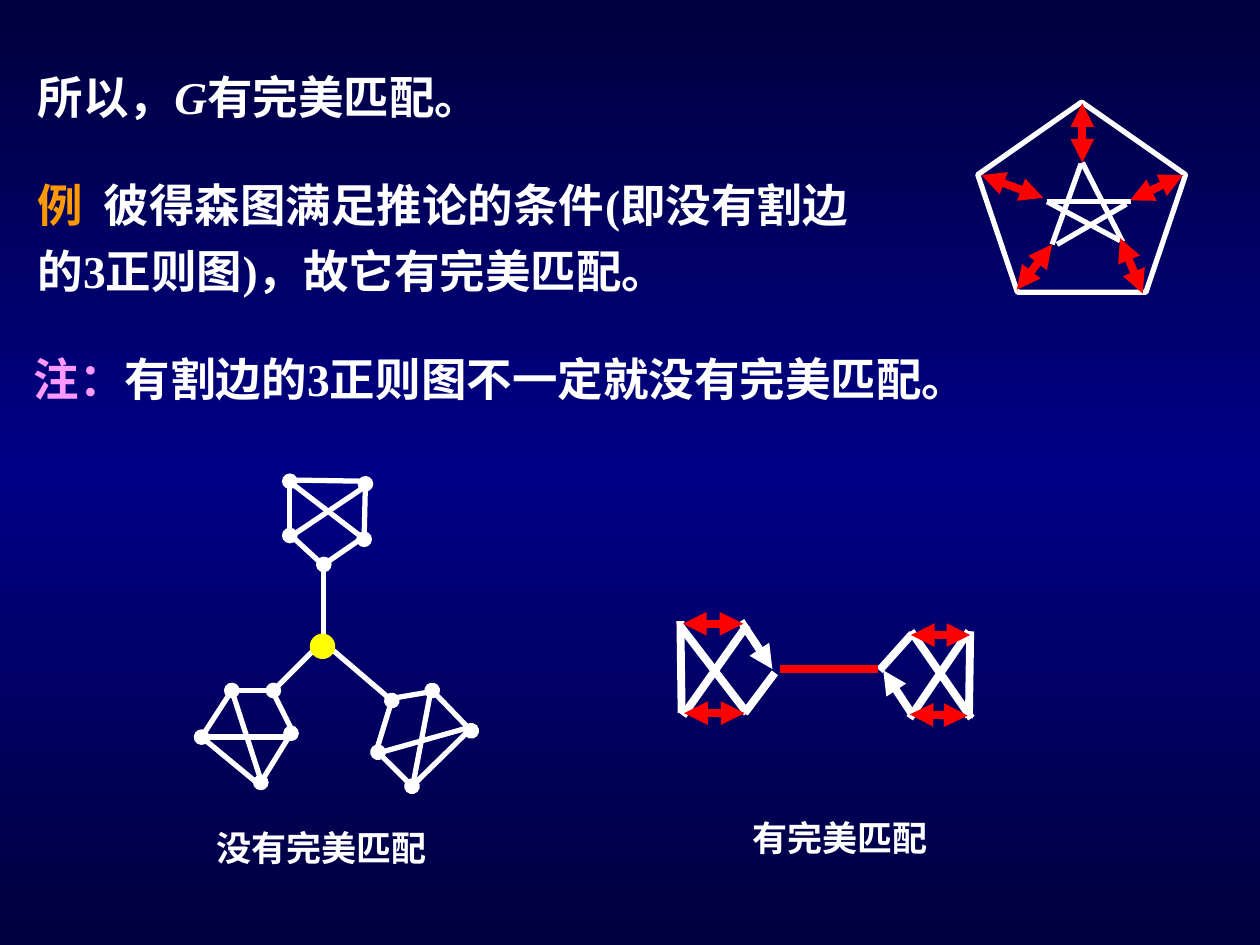
from copy import deepcopy

from pptx import Presentation
from pptx import util as u
from pptx.dml.color import RGBColor
from pptx.enum import shapes, text
from pptx.oxml.ns import qn
from lxml import etree

WHITE = RGBColor(0xFF, 0xFF, 0xFF)
RED = RGBColor(0xFF, 0x00, 0x00)
YELLOW = RGBColor(0xFF, 0xFF, 0x00)
ORANGE = RGBColor(0xFF, 0x99, 0x00)
PINK = RGBColor(0xFF, 0x99, 0xFF)
NAVY = RGBColor(0x00, 0x00, 0x3E)
BLUE = RGBColor(0x00, 0x00, 0x86)

# Edges are (x1, y1, x2, y2) in inches.
STAR_EDGES = [
    (8.58, 1.3, 8.35, 1.94), (8.31, 1.6, 8.98, 1.6), (8.31, 1.6, 8.89, 1.91),
    (8.94, 1.62, 8.39, 1.94), (8.59, 1.29, 8.91, 1.92),
]
PETERSEN_MATCHING = [
    (8.89, 1.89, 9.07, 2.33), (8.35, 1.94, 8.07, 2.3), (9.39, 1.39, 8.97, 1.59),
    (8.59, 0.82, 8.59, 1.29), (7.79, 1.39, 8.28, 1.57),
]
BRIDGE = (6.19, 5.31, 6.97, 5.31)
BRIDGE_GRAPH_ARROWS = [(6.13, 5.31, 5.88, 4.93), (7.01, 5.32, 7.24, 5.67)]
BRIDGE_GRAPH_EDGES = [
    (6.15, 5.34, 5.91, 5.66), (5.4, 4.93, 5.41, 5.66), (5.4, 4.97, 5.93, 5.66),
    (5.42, 5.68, 5.93, 4.96), (6.98, 5.32, 7.24, 5.03), (7.69, 5.7, 7.7, 5.01),
    (7.23, 5.01, 7.71, 5.7), (7.22, 5.7, 7.69, 5.01),
]
BRIDGE_GRAPH_MATCHING = [
    (7.23, 5.04, 7.7, 5.04), (7.22, 5.67, 7.68, 5.68),
    (5.42, 4.95, 5.9, 4.95), (5.43, 5.66, 5.91, 5.66),
]
DOTTED_BOTH_ENDS = [
    (1.84, 5.48, 1.6, 5.85), (2.31, 5.82, 2.07, 6.21), (2.89, 4.28, 2.9, 3.84),
    (2.3, 4.25, 2.3, 3.82), (3, 5.97, 3.27, 6.24), (3.43, 5.48, 3.74, 5.8),
]
DOTTED_START = [
    (2.57, 4.48, 2.89, 4.26), (3.11, 5.56, 2.99, 5.95), (2.17, 5.48, 1.85, 5.48),
]
PLAIN_EDGES = [
    (2.57, 4.49, 2.32, 4.26), (2.92, 3.82, 2.31, 3.81), (3.07, 5.55, 3.42, 5.49),
    (2.57, 4.49, 2.57, 5.1), (2.32, 3.84, 2.92, 4.3), (2.32, 4.25, 2.9, 3.86),
    (2.99, 5.98, 3.7, 5.78), (3.42, 5.48, 3.27, 6.27), (3.27, 6.24, 3.72, 5.8),
    (1.61, 5.85, 2.32, 5.85), (2.06, 6.23, 1.6, 5.85), (1.84, 5.48, 2.07, 6.19),
    (2.16, 5.48, 2.32, 5.8), (2.18, 5.47, 2.5, 5.15), (2.56, 5.09, 3.11, 5.56),
]


class SlideBuilder:
    font = "Times New Roman"
    body_size = 26
    caption_size = 20
    thin = 3
    thick = 4.5

    def __init__(self, slide):
        self.slide = slide
        self.shapes = slide.shapes

    def start_group(self):
        """Put the elements that follow into a new group."""
        self.shapes = self.slide.shapes.add_group_shape().shapes

    def background(self, colors):
        fill = self.slide.background.fill
        fill.gradient()
        fill.gradient_angle = 90
        stop_list = self.slide.element.find(".//" + qn("a:gsLst"))
        stop_list.append(deepcopy(stop_list[0]))
        for index, (stop, color) in enumerate(zip(fill.gradient_stops, colors)):
            stop.position = index / (len(colors) - 1)
            stop.color.rgb = color

    def text(self, box, runs, size=body_size, line_spacing=None, align=None):
        """Add one paragraph made of (wording, color, italic) runs."""
        shape = self.shapes.add_textbox(*map(u.Inches, box))
        shape.text_frame.word_wrap = True
        paragraph = shape.text_frame.paragraphs[0]
        paragraph.line_spacing = line_spacing
        paragraph.alignment = align
        for wording, color, italic in runs:
            run = paragraph.add_run()
            run.text = wording
            run.font.name = self.font
            run.font.size = u.Pt(size)
            run.font.bold = True
            run.font.italic = italic
            run.font.color.rgb = color

    def caption(self, box, wording):
        self.text(box, [(wording, WHITE, False)], self.caption_size,
                  align=text.PP_ALIGN.JUSTIFY)

    def edges(self, edges, width, color=WHITE, head=None, tail=None):
        """Add straight lines; head is the start marker, tail the end marker."""
        for edge in edges:
            connector = self.shapes.add_connector(
                shapes.MSO_CONNECTOR.STRAIGHT, *map(u.Inches, edge))
            connector.line.color.rgb = color
            connector.line.width = u.Pt(width)
            properties = connector.element.spPr
            line = properties.find(qn("a:ln"))
            for tag, marker in (("a:headEnd", head), ("a:tailEnd", tail)):
                if marker:
                    etree.SubElement(line, qn(tag), type=marker)
            etree.SubElement(properties, qn("a:effectLst"))

    def matching(self, edges):
        self.edges(edges, self.thick, RED, "triangle", "triangle")

    def shape(self, kind, box, line_color, fill_color=None):
        shape = self.shapes.add_shape(kind, *map(u.Inches, box))
        shape.shadow.inherit = False
        shape.line.color.rgb = line_color
        shape.line.width = u.Pt(self.thin)
        if fill_color is None:
            shape.fill.background()
        else:
            shape.fill.solid()
            shape.fill.fore_color.rgb = fill_color


def main():
    presentation = Presentation()
    presentation.slide_width = u.Inches(10)
    presentation.slide_height = u.Inches(7.5)
    builder = SlideBuilder(
        presentation.slides.add_slide(presentation.slide_layouts[6]))
    builder.background([NAVY, BLUE, NAVY])

    builder.text((0.2, 0.5, 3.94, 0.54), [
        ("所以，", WHITE, False), ("G", WHITE, True),
        ("有完美匹配。", WHITE, False)])
    builder.text((0.2, 1.27, 6.77, 1.14), [
        ("例  ", ORANGE, False),
        ("彼得森图满足推论的条件(即没有割边的3正则图)，故它有完美匹配。", WHITE, False),
    ], line_spacing=1.2)
    builder.text((0.17, 2.74, 8.13, 0.54), [
        ("注：", PINK, False),
        ("有割边的3正则图不一定就没有完美匹配。", WHITE, False)])

    # Petersen graph
    builder.start_group()
    builder.shape(shapes.MSO_SHAPE.REGULAR_PENTAGON, (7.76, 0.81, 1.65, 1.51), WHITE)
    builder.edges(STAR_EDGES, builder.thin)
    builder.matching(PETERSEN_MATCHING)

    # Graph with one bridge
    builder.start_group()
    builder.edges(BRIDGE_GRAPH_ARROWS, builder.thick, head="triangle")
    builder.edges(BRIDGE_GRAPH_EDGES, builder.thick)
    builder.edges([BRIDGE], builder.thick, RED)
    builder.matching(BRIDGE_GRAPH_MATCHING)
    builder.caption((5.87, 6.43, 1.81, 0.55), "有完美匹配")

    # Graph with three bridges
    builder.start_group()
    builder.edges(DOTTED_BOTH_ENDS, builder.thin, head="oval", tail="oval")
    builder.edges(DOTTED_START, builder.thin, head="oval")
    builder.edges(PLAIN_EDGES, builder.thin)
    builder.shape(shapes.MSO_SHAPE.OVAL, (2.48, 5.05, 0.16, 0.16), YELLOW, YELLOW)
    builder.caption((1.62, 6.51, 1.97, 0.44), "没有完美匹配")

    presentation.save("out.pptx")


if __name__ == "__main__":
    main()
